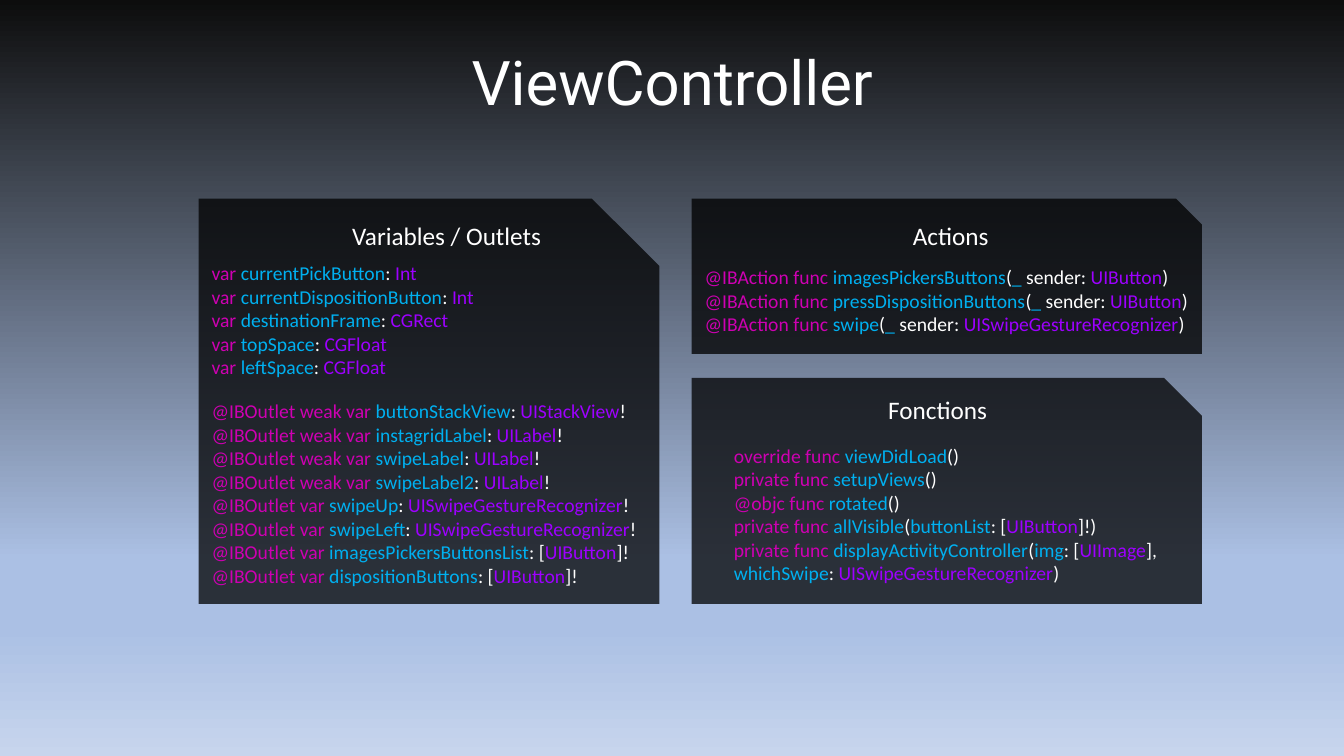
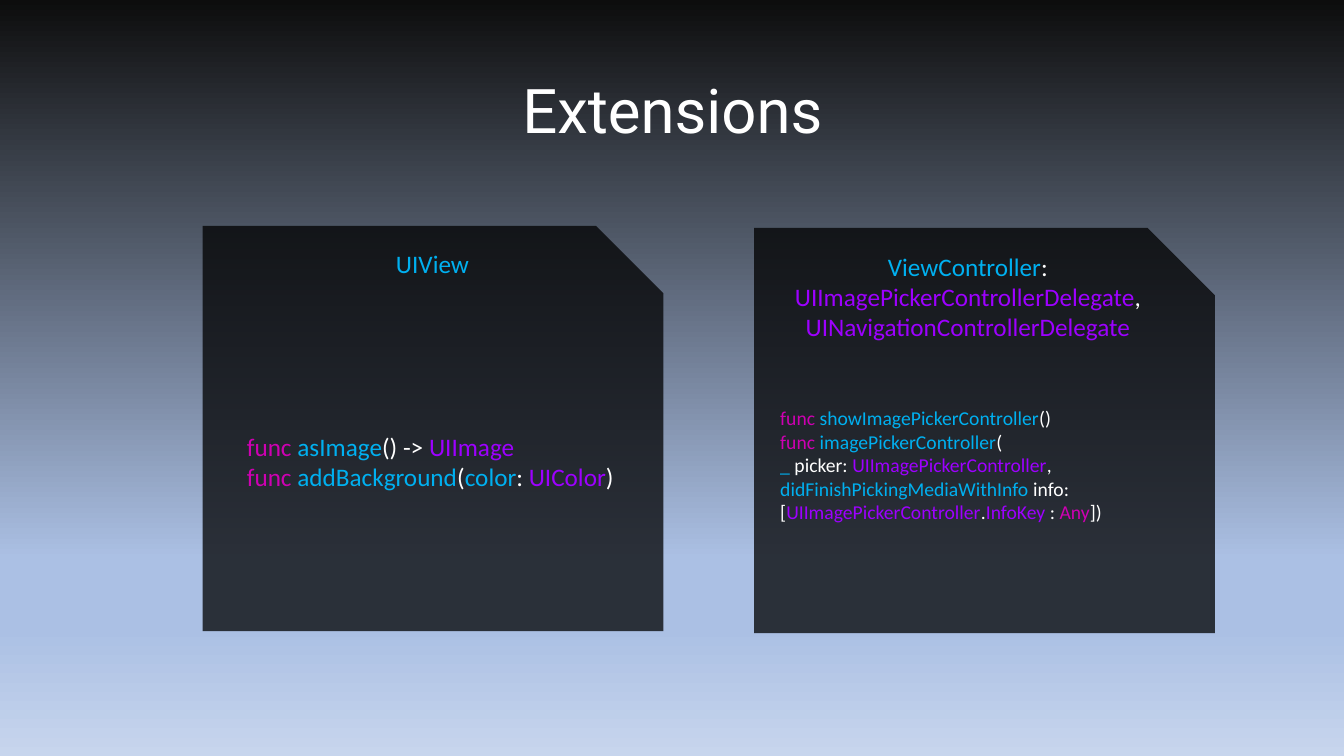
from dataclasses import dataclass
from itertools import groupby

from lxml import etree
from pptx import Presentation
from pptx.dml.color import RGBColor
from pptx.enum.shapes import MSO_SHAPE
from pptx.enum.text import MSO_ANCHOR, PP_ALIGN
from pptx.oxml.ns import qn
from pptx.util import Inches, Pt


@dataclass(frozen=True)
class Theme:
    card: str = "000000"
    plain: str = "FFFFFF"
    keyword: str = "CE00B2"
    name: str = "00B0F0"
    type: str = "9D00FF"
    backdrop: tuple = ((0, "0D0D0D"), (74, "ABC0E4"), (83, "ABC0E4"), (100, "C7D5ED"))
    title_font: str = "Roboto"
    text_font: str = "Calibri"
    title_size: int = 44
    heading_size: int = 18
    code_size: int = 14
    group_gap: float = 14.6


THEME = Theme()
HEADING_WIDTH, HEADING_HEIGHT = 3.93, 0.4

KEYWORDS = {"var", "weak", "func", "override", "private", "Any",
            "@IBOutlet", "@IBAction", "@objc"}
ARGUMENTS = {"sender", "picker", "info"}
EXTENDED_TYPES = {"UIView", "ViewController"}

# "card" and "code_at" are left, top, width, height; "heading_at" is centre, top.
# Code is a list of groups of lines.
SLIDES = [
    {"title": "ViewController", "title_top": 0.12, "cards": [
        {"card": (1.97, 1.97, 4.57, 4.02), "opacity": 75,
         "heading": ["Variables / Outlets"], "heading_at": (4.43, 2.14),
         "code_at": (2, 2.54, 4.57, 3.57), "code": [
             ["var currentPickButton: Int",
              "var currentDispositionButton: Int",
              "var destinationFrame: CGRect",
              "var topSpace: CGFloat",
              "var leftSpace: CGFloat"],
             ["@IBOutlet weak var buttonStackView: UIStackView!",
              "@IBOutlet weak var instagridLabel: UILabel!",
              "@IBOutlet weak var swipeLabel: UILabel!",
              "@IBOutlet weak var swipeLabel2: UILabel!",
              "@IBOutlet var swipeUp: UISwipeGestureRecognizer!",
              "@IBOutlet var swipeLeft: UISwipeGestureRecognizer!",
              "@IBOutlet var imagesPickersButtonsList: [UIButton]!",
              "@IBOutlet var dispositionButtons: [UIButton]!"]]},
        {"card": (6.86, 1.97, 5.06, 1.54), "opacity": 76,
         "heading": ["Actions"], "heading_at": (9.43, 2.14),
         "code_at": (6.89, 2.58, 5.15, 0.81), "code": [
             ["@IBAction func imagesPickersButtons(_ sender: UIButton)",
              "@IBAction func pressDispositionButtons(_ sender: UIButton)",
              "@IBAction func swipe(_ sender: UISwipeGestureRecognizer)"]]},
        {"card": (6.86, 3.75, 5.06, 2.24), "opacity": 75,
         "heading": ["Fonctions"], "heading_at": (9.3, 3.86),
         "code_at": (7.18, 4.35, 4.48, 1.75), "code": [
             ["override func viewDidLoad()",
              "private func setupViews()",
              "@objc func rotated()",
              "private func allVisible(buttonList: [UIButton]!)",
              "private func displayActivityController(img: [UIImage],",
              "whichSwipe: UISwipeGestureRecognizer)"]]},
    ]},
    {"title": "Extensions", "title_top": 0.4, "cards": [
        {"card": (2.01, 2.24, 4.57, 4.02), "opacity": 75,
         "heading": ["UIView"], "heading_at": (4.29, 2.41), "heading_is_code": True,
         "code_at": (2.35, 4.23, 3.88, 1.01), "code_size": 18, "code": [
             ["func asImage() -> UIImage",
              "func addBackground(color: UIColor)"]]},
        {"card": (7.48, 2.26, 4.57, 4.02), "opacity": 75,
         "heading": ["ViewController:",
                     "UIImagePickerControllerDelegate, UINavigationControllerDelegate"],
         "heading_at": (9.6, 2.44), "heading_is_code": True,
         "code_at": (7.64, 3.98, 4.22, 1.51), "code": [
             ["func showImagePickerController()",
              "func imagePickerController(",
              "_ picker: UIImagePickerController,",
              "didFinishPickingMediaWithInfo info: "
              "[UIImagePickerController.InfoKey : Any])"]]},
    ]},
]


def role_of(token):
    """Name the theme colour that a token of Swift takes."""
    if token in KEYWORDS:
        return "keyword"
    if token in ARGUMENTS or not (token[0].isalnum() or token[0] == "_"):
        return "plain"
    if token[0].isupper() and token not in EXTENDED_TYPES:
        return "type"
    return "name"


def highlight(line):
    """Split a line of Swift into (role, text) runs; spaces join the run before."""
    runs = []
    for kind, chars in groupby(line, lambda c: "space" if c == " " else c.isalnum() or c in "_@"):
        token = "".join(chars)
        role = runs[-1][0] if kind == "space" and runs else role_of(token)
        if runs and runs[-1][0] == role:
            runs[-1] = (role, runs[-1][1] + token)
        else:
            runs.append((role, token))
    return runs


def add_run(paragraph, text, role, size, font=THEME.text_font):
    run = paragraph.add_run()
    run.text = text
    run.font.name = font
    run.font.size = Pt(size)
    run.font.color.rgb = RGBColor.from_string(getattr(THEME, role))


def add_lines(slide, box, groups, size, align=PP_ALIGN.LEFT, is_code=True):
    frame = slide.shapes.add_textbox(*map(Inches, box)).text_frame
    frame.word_wrap = True
    paragraph = None
    for group_index, group in enumerate(groups):
        for line_index, line in enumerate(group):
            paragraph = frame.add_paragraph() if paragraph else frame.paragraphs[0]
            paragraph.alignment = align
            if group_index and not line_index:
                paragraph.space_before = Pt(THEME.group_gap)
            for role, text in highlight(line) if is_code else [("plain", line)]:
                add_run(paragraph, text, role, size)


def add_card(slide, box, opacity):
    card = slide.shapes.add_shape(MSO_SHAPE.SNIP_1_RECTANGLE, *map(Inches, box))
    card.shadow.inherit = False
    card.line.fill.background()
    card.fill.solid()
    card.fill.fore_color.rgb = RGBColor.from_string(THEME.card)
    color = card.fill._xPr.find(qn("a:solidFill"))[0]
    etree.SubElement(color, qn("a:alpha"), val=str(opacity * 1000))


def paint_backdrop(master):
    fill = master.background.fill
    fill.gradient()
    fill.gradient_angle = 270
    stops = fill._fill._gradFill.find(qn("a:gsLst"))
    for stop in list(stops):
        stops.remove(stop)
    for position, color in THEME.backdrop:
        stop = etree.SubElement(stops, qn("a:gs"), pos=str(position * 1000))
        etree.SubElement(stop, qn("a:srgbClr"), val=color)


def set_title(slide, text, top):
    title = slide.shapes.title
    title.left, title.top, title.width, title.height = map(Inches, (0.92, top, 11.5, 1.45))
    title.text_frame.vertical_anchor = MSO_ANCHOR.MIDDLE
    paragraph = title.text_frame.paragraphs[0]
    paragraph.alignment = PP_ALIGN.CENTER
    paragraph.line_spacing = 0.9
    add_run(paragraph, text, "plain", THEME.title_size, THEME.title_font)


def build_slide(prs, content):
    slide = prs.slides.add_slide(prs.slide_layouts.get_by_name("Title Only"))
    set_title(slide, content["title"], content["title_top"])
    for card in content["cards"]:
        add_card(slide, card["card"], card["opacity"])
        center, top = card["heading_at"]
        heading_box = (center - HEADING_WIDTH / 2, top, HEADING_WIDTH, HEADING_HEIGHT)
        add_lines(slide, heading_box, [card["heading"]], THEME.heading_size,
                  PP_ALIGN.CENTER, card.get("heading_is_code", False))
        add_lines(slide, card["code_at"], card["code"], card.get("code_size", THEME.code_size))


def main():
    prs = Presentation()
    prs.slide_width, prs.slide_height = Inches(13.33), Inches(7.5)
    paint_backdrop(prs.slide_master)
    for content in SLIDES:
        build_slide(prs, content)
    prs.save("out.pptx")


if __name__ == "__main__":
    main()
